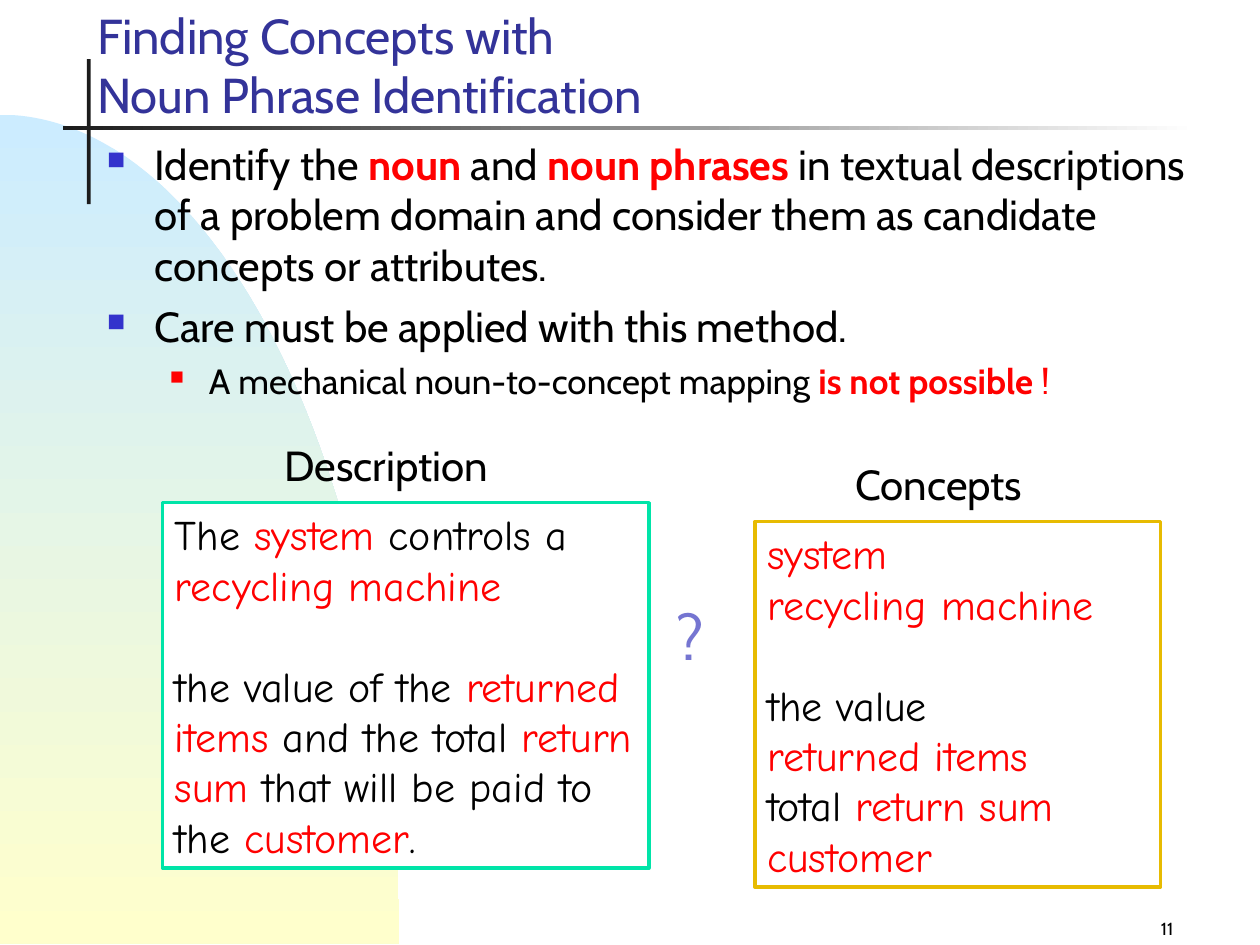
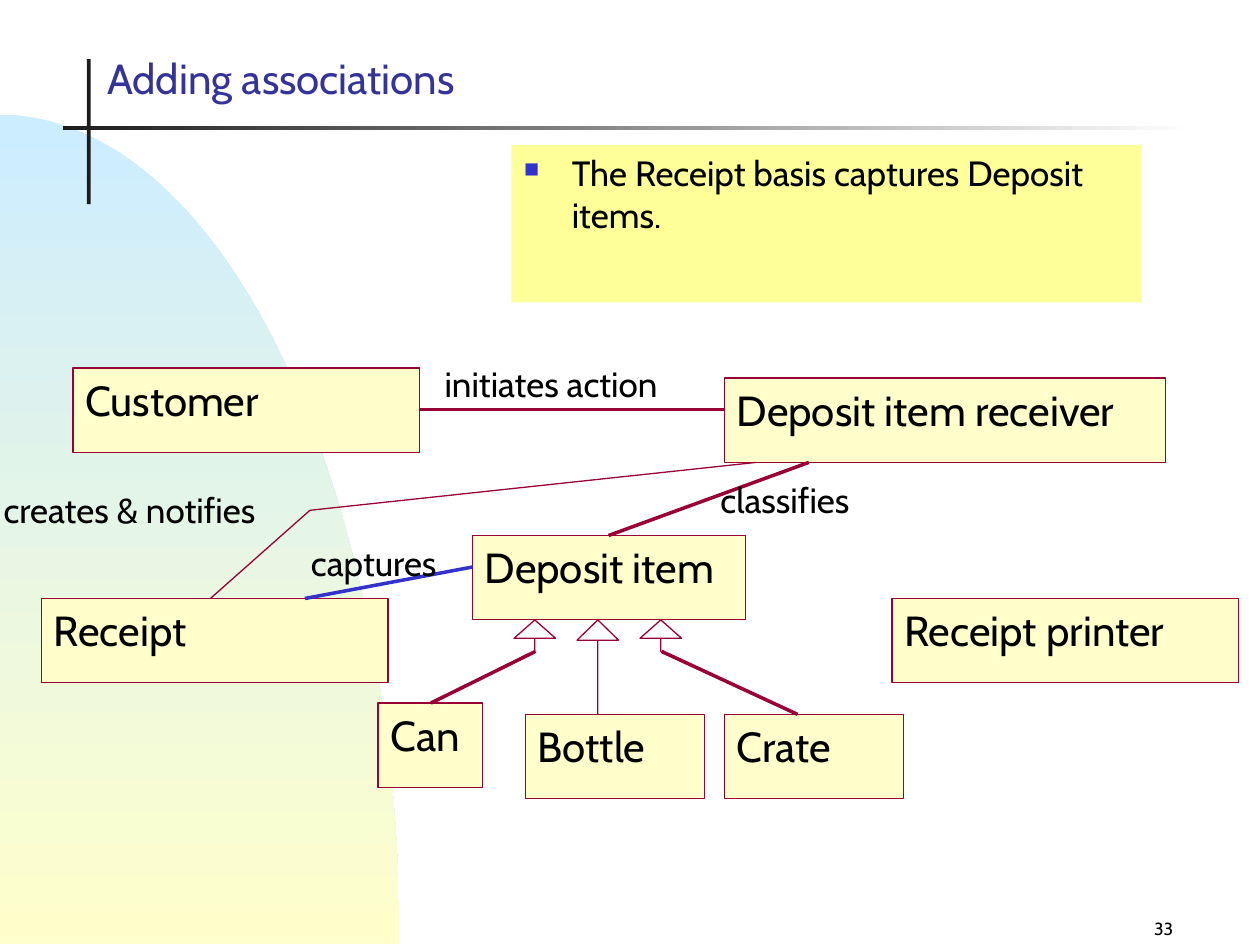
from math import cos, pi, sin

from lxml.etree import SubElement
from pptx import Presentation
from pptx.dml.color import RGBColor
from pptx.enum.shapes import MSO_CONNECTOR, MSO_SHAPE
from pptx.enum.text import MSO_ANCHOR, MSO_AUTO_SIZE, PP_ALIGN
from pptx.oxml.ns import qn
from pptx.util import Inches, Pt

# Shared look
FONT, HAND_FONT = "Cabin", "Comic Neue"
BLACK = RGBColor(0x00, 0x00, 0x00)
WHITE = RGBColor(0xFF, 0xFF, 0xFF)
RED = RGBColor(0xFF, 0x00, 0x00)
TITLE_BLUE = RGBColor(0x33, 0x33, 0x99)
BLUE = RGBColor(0x33, 0x33, 0xCC)
LILAC = RGBColor(0x75, 0x75, 0xD1)
CHARCOAL = RGBColor(0x1C, 0x1C, 0x1C)
SKY = RGBColor(0xCC, 0xEC, 0xFF)
CREAM = RGBColor(0xFF, 0xFF, 0xCC)
YELLOW = RGBColor(0xFF, 0xFF, 0x99)
GREEN = RGBColor(0x00, 0xE4, 0xA8)
GOLD = RGBColor(0xE7, 0xBB, 0x01)
MAROON = RGBColor(0x99, 0x00, 0x33)

# Bullet levels: left margin, hanging indent, colour, size in percent
BULLETS = [(0.38, 0.38, BLUE, 60), (0.81, 0.31, RED, 55)]

# Noun phrase slide: a paragraph is a list of runs, *marked* runs are red
CONCEPT_TITLE = "Finding Concepts with \nNoun Phrase Identification"
CONCEPT_POINTS = [
    (["Identify the ", "*noun", " and ", "*noun phrases ",
      "in textual descriptions of a problem domain and consider them as "
      "candidate concepts or attributes."], dict(level=0, size=24, before=6)),
    (["Care must be applied with this method."],
     dict(level=0, size=24, before=6)),
    (["A mechanical noun-to-concept mapping ", "*is not possible", "! !"],
     dict(level=1, size=20, before=5)),
]
DESCRIPTION = [
    (["The ", "*system", " controls a ", "*recycling machine"], {}),
    (["the value of the ", "*returned items", " and the total ",
      "*return sum", " that will be paid to the ", "*customer", "."],
     dict(before=28.8)),
]
CONCEPTS = [
    (["*system"], {}),
    (["*recycling machine"], {}),
    (["the value"], dict(before=28.8)),
    (["*returned items"], {}),
    (["total ", "*return sum customer"], {}),
]
CONCEPT_PANELS = [
    (DESCRIPTION, (1.29, 3.99, 3.86, 2.9), GREEN),
    (CONCEPTS, (5.99, 4.14, 3.22, 2.9), GOLD),
]
CONCEPT_LABELS = [
    ("?", (5.27, 4.69, 0.6, 0.7), 36, LILAC),
    ("Description", (2.16, 3.44, 1.97, 0.9), 24, BLACK),
    ("Concepts", (6.69, 3.59, 1.68, 0.5), 24, BLACK),
]

# Association slide: name, left, top, width
CLASS_HEIGHT = 0.67
CLASSES = [
    ("Customer", 0.58, 2.92, 2.75),
    ("Deposit item receiver", 5.75, 3, 3.5),
    ("Receipt", 0.33, 4.75, 2.75),
    ("Deposit item", 3.75, 4.25, 2.17),
    ("Receipt printer", 7.08, 4.75, 2.75),
    ("Can", 3, 5.58, 0.83),
    ("Bottle", 4.17, 5.67, 1.42),
    ("Crate", 5.75, 5.67, 1.42),
]
# Triangle arrows: left, height, head proportion
ARROW_TOP, ARROW_WIDTH = 4.92, 0.33
ARROWS = [(4.08, 0.25, 0.583), (4.58, 0.75, 0.488), (5.08, 0.25, 0.583)]
LINES = [
    ((4.25, 5.17), (3.42, 5.58), MAROON),
    ((5.25, 5.17), (6.33, 5.67), MAROON),
    ((3.33, 3.25), (5.75, 3.25), MAROON),
    ((6.42, 3.67), (4.83, 4.25), MAROON),
    ((2.42, 4.75), (3.75, 4.5), BLUE),
]
NOTIFY_ROUTE = [(6, 3.67), (2.46, 4.05), (1.67, 4.75)]
ASSOCIATION_LABELS = [
    ("initiates action", (3.43, 2.83, 2.11, 0.44)),
    ("classifies", (5.62, 3.75, 1.36, 0.44)),
    ("creates & notifies", (-0.07, 3.83, 2.47, 0.44)),
    ("captures", (2.37, 4.25, 1.34, 0.44)),
]


def add_bullet(paragraph, level):
    margin, hanging, color, percent = BULLETS[level]
    properties = paragraph._p.get_or_add_pPr()
    properties.set("marL", str(Inches(margin)))
    properties.set("indent", str(-Inches(hanging)))
    bullet_color = SubElement(properties, qn("a:buClr"))
    SubElement(bullet_color, qn("a:srgbClr"), val=str(color))
    SubElement(properties, qn("a:buSzPct"), val=str(percent * 1000))
    SubElement(properties, qn("a:buChar"), char="■")


def write_text(shape, content, size=24, font=FONT, color=BLACK,
               align=PP_ALIGN.LEFT, anchor=MSO_ANCHOR.TOP, bold_marks=False):
    """Write a string, or (runs, options) paragraphs, into a shape."""
    frame = shape.text_frame
    frame.word_wrap = True
    frame.auto_size = MSO_AUTO_SIZE.NONE
    frame.vertical_anchor = anchor
    if isinstance(content, str):
        content = [([content], {})]
    for index, (runs, options) in enumerate(content):
        paragraph = frame.add_paragraph() if index else frame.paragraphs[0]
        if "level" in options:
            add_bullet(paragraph, options["level"])
        paragraph.alignment = align
        paragraph.space_before = Pt(options.get("before", 0) if index else 0)
        for text in runs:
            # "*" marks an emphasised run, "!" a plain red one
            marked = len(text) > 1 and text[0] in "*!"
            emphasised = marked and text[0] == "*"
            for part, line in enumerate(text[marked:].split("\n")):
                if part:
                    paragraph.add_line_break()
                run = paragraph.add_run()
                run.text = line
                run.font.name = font
                run.font.size = Pt(options.get("size", size))
                run.font.bold = bold_marks and emphasised
                run.font.color.rgb = RED if marked else color


def place(box):
    return [Inches(length) for length in box]


def add_label(slide, content, box, **text_format):
    write_text(slide.shapes.add_textbox(*place(box)), content, **text_format)


def style_shape(shape, fill=None, line=None, width=0):
    shape.shadow.inherit = False
    if fill is None:
        shape.fill.background()
    elif isinstance(fill, RGBColor):
        shape.fill.solid()
        shape.fill.fore_color.rgb = fill
    else:
        start, end, angle = fill
        shape.fill.gradient()
        shape.fill.gradient_angle = angle
        for stop, color in zip(shape.fill.gradient_stops, (start, end)):
            stop.color.rgb = color
    if line is None:
        shape.line.fill.background()
    else:
        shape.line.color.rgb = line
        shape.line.width = Pt(width)


def add_block(slide, box, kind=MSO_SHAPE.RECTANGLE, **style):
    shape = slide.shapes.add_shape(kind, *place(box))
    style_shape(shape, **style)
    return shape


def add_outline(slide, points, close, **style):
    points = [tuple(place(point)) for point in points]
    builder = slide.shapes.build_freeform(*points[0], scale=1.0)
    builder.add_line_segments(points[1:], close=close)
    style_shape(builder.convert_to_shape(), **style)


def add_line(slide, start, end, color):
    connector = slide.shapes.add_connector(
        MSO_CONNECTOR.STRAIGHT, *place(start + end))
    connector.line.color.rgb = color
    connector.line.width = Pt(0)
    SubElement(connector._element.spPr, qn("a:effectLst"))


def start_slide(presentation, title, title_box, title_size, number):
    slide = presentation.slides.add_slide(presentation.slide_layouts[5])
    # Quarter ellipse, crossed bars and page number
    steps, radius_x, radius_y, base = 90, 3.17, 6.58, 7.49
    angles = [pi / 2 * step / steps for step in range(steps + 1)]
    curve = [(radius_x * sin(a), base - radius_y * cos(a)) for a in angles]
    add_outline(slide, curve + [(0, base)], True, fill=(SKY, CREAM, 270))
    add_block(slide, (0.69, 0.47, 0.03, 1.15), fill=CHARCOAL)
    add_block(slide, (0.5, 1, 9, 0.03), fill=(CHARCOAL, WHITE, 0))
    add_label(slide, number, (7.33, 7.17, 2.08, 0.33), size=10,
              align=PP_ALIGN.RIGHT, anchor=MSO_ANCHOR.BOTTOM)
    # Title
    shape = slide.shapes.title
    shape.left, shape.top, shape.width, shape.height = place(title_box)
    write_text(shape, title, size=title_size, color=TITLE_BLUE,
               anchor=MSO_ANCHOR.BOTTOM)
    return slide


def build_concepts(presentation):
    slide = start_slide(presentation, CONCEPT_TITLE,
                        (0.67, 0.28, 7.08, 0.75), 28, "11")
    add_label(slide, CONCEPT_POINTS, (0.75, 1.05, 8.83, 5.92),
              bold_marks=True)
    for content, box, color in CONCEPT_PANELS:
        panel = add_block(slide, box, fill=WHITE, line=color, width=2)
        write_text(panel, content, font=HAND_FONT)
    for text, box, size, color in CONCEPT_LABELS:
        add_label(slide, text, box, size=size, color=color)


def build_associations(presentation):
    slide = start_slide(presentation, "Adding associations",
                        (0.75, 0.36, 3.74, 0.51), 24, "33")
    note = add_block(slide, (4.06, 1.15, 5, 1.25), fill=YELLOW)
    write_text(note, [(["The Receipt basis captures Deposit items."],
                       dict(level=0))], size=20)
    # Classes
    for name, left, top, width in CLASSES:
        box = add_block(slide, (left, top, width, CLASS_HEIGHT),
                        fill=CREAM, line=MAROON)
        write_text(box, name)
    # Generalisations and associations
    for left, height, head in ARROWS:
        arrow = add_block(slide, (left, ARROW_TOP, ARROW_WIDTH, height),
                          kind=MSO_SHAPE.UP_ARROW, line=MAROON)
        arrow.adjustments[0] = 0
        arrow.adjustments[1] = head
    for start, end, color in LINES:
        add_line(slide, start, end, color)
    add_outline(slide, NOTIFY_ROUTE, False, line=MAROON)
    for text, box in ASSOCIATION_LABELS:
        add_label(slide, text, box, size=20)


def main():
    presentation = Presentation()
    presentation.slide_width = Inches(10)
    presentation.slide_height = Inches(7.5)
    build_concepts(presentation)
    build_associations(presentation)
    presentation.save("out.pptx")


if __name__ == "__main__":
    main()
